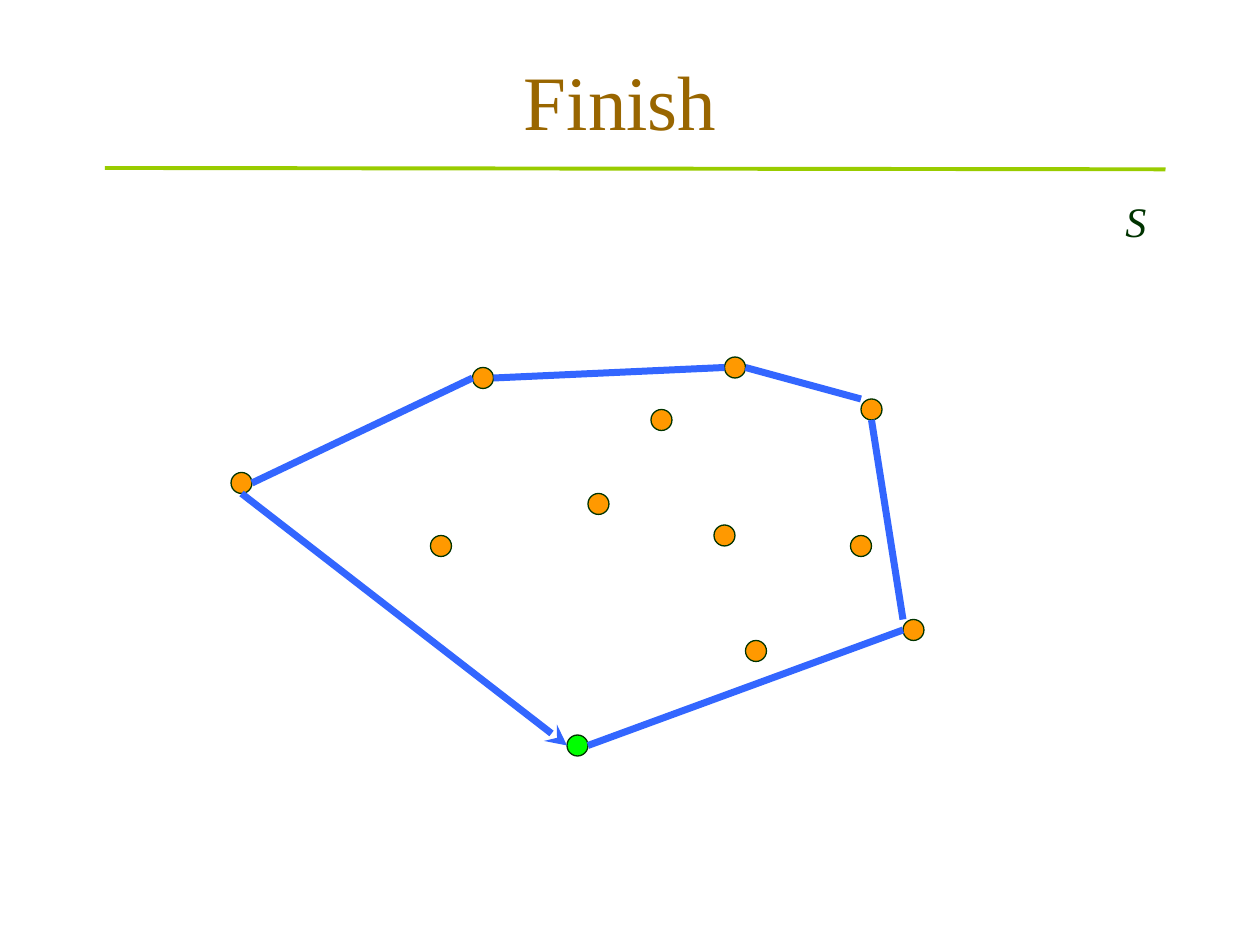
from lxml.etree import SubElement
from pptx import Presentation
from pptx.dml.color import RGBColor
from pptx.enum.shapes import MSO_CONNECTOR as CONNECTOR, MSO_SHAPE as SHAPE
from pptx.enum.text import MSO_ANCHOR as ANCHOR, MSO_AUTO_SIZE as AUTO_SIZE, PP_ALIGN as ALIGN
from pptx.oxml.ns import qn
from pptx.util import Emu, Pt

FONT = "Times New Roman"
INK, BROWN = "003300", "996600"
ORANGE, GREEN = "FF9900", "00FF00"
BLUE, LIME = "3366FF", "99CC00"
DOT = 16  # diameter of a point


def px(count):
    return Emu(count * 9525)


def color(text):
    return RGBColor.from_string(text)


class SlideBuilder:
    def __init__(self, deck):
        self.slide = deck.slides.add_slide(deck.slide_layouts[5])
        self.shapes = self.slide.shapes

    def add_span(self, para, text, size, hue, italic=False):
        span = para.add_run()
        span.text = text
        span.font.name = FONT
        span.font.size = Pt(size)
        span.font.italic = italic
        span.font.color.rgb = color(hue)

    def title(self, text, left, top, width, height):
        box = self.shapes.title
        box.left, box.top, box.width, box.height = map(px, (left, top, width, height))
        frame = box.text_frame
        frame.vertical_anchor = ANCHOR.MIDDLE
        para = frame.paragraphs[0]
        para.alignment = ALIGN.CENTER
        self.add_span(para, text, 44, BROWN)

    def label(self, text, left, top, width, height):
        box = self.shapes.add_textbox(*map(px, (left, top, width, height)))
        frame = box.text_frame
        frame.word_wrap = False
        frame.auto_size = AUTO_SIZE.SHAPE_TO_FIT_TEXT
        self.add_span(frame.paragraphs[0], text, 24, INK, italic=True)

    def dot(self, left, top, fill=ORANGE):
        dot = self.shapes.add_shape(SHAPE.OVAL, px(left), px(top), px(DOT), px(DOT))
        dot.shadow.inherit = False
        dot.fill.solid()
        dot.fill.fore_color.rgb = color(fill)
        dot.line.color.rgb = color(INK)
        dot.line.width = Pt(0.75)

    def line(self, start, end, hue=BLUE, width=4, arrow=False):
        line = self.shapes.add_connector(CONNECTOR.STRAIGHT, *map(px, start + end))
        line.line.color.rgb = color(hue)
        line.line.width = Pt(width)
        properties = line._element.spPr
        if arrow:
            SubElement(properties.get_or_add_ln(), qn("a:headEnd"), type="stealth")
        SubElement(properties, qn("a:effectLst"))


def main():
    deck = Presentation()
    deck.slide_width, deck.slide_height = px(960), px(720)
    page = SlideBuilder(deck)

    # Heading and rule
    page.title("Finish ", 72, 16, 816, 120)
    page.line((80, 128), (888, 129), LIME, 2.25)

    # Points of the set, starting with the lowest one
    page.dot(432, 560, GREEN)
    hull = [(176, 360), (656, 304), (552, 272), (688, 472), (360, 280)]
    inner = [(648, 408), (496, 312), (448, 376), (328, 408), (544, 400), (568, 488)]
    for left, top in hull + inner:
        page.dot(left, top)
    page.label("S", 848, 144, 36, 48)

    # Hull edges, counterclockwise from the lowest point
    edges = [
        ((448, 568), (688, 480)),
        ((688, 472), (664, 320)),
        ((656, 304), (568, 280)),
        ((552, 280), (376, 288)),
        ((360, 288), (192, 368)),
    ]
    for start, end in edges:
        page.line(start, end)
    page.line((432, 568), (184, 376), arrow=True)

    deck.save("out.pptx")


if __name__ == "__main__":
    main()
